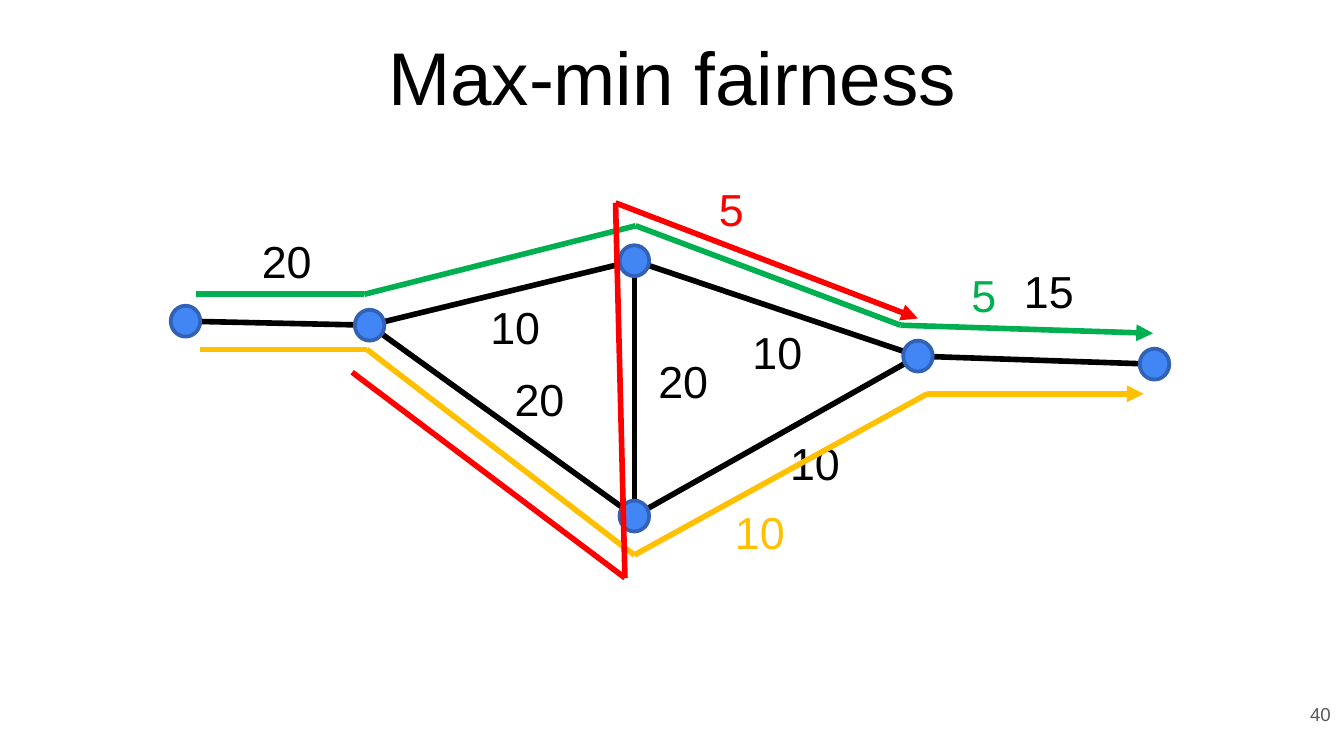
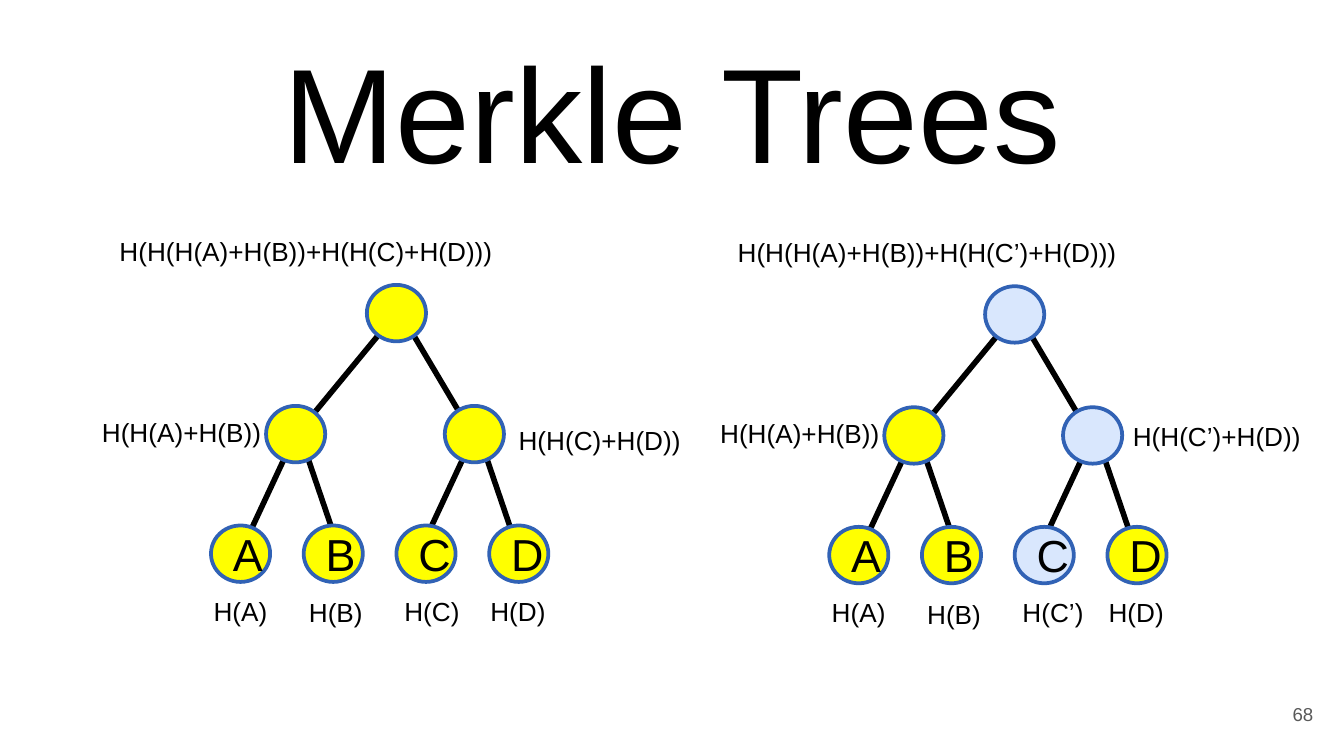
from dataclasses import dataclass
from itertools import pairwise

from lxml.etree import SubElement
from pptx import Presentation
from pptx.dml.color import RGBColor
from pptx.enum.shapes import MSO_CONNECTOR as Connector, MSO_SHAPE as Shape
from pptx.enum.text import MSO_ANCHOR as Anchor, MSO_AUTO_SIZE as Fit, PP_ALIGN as Align
from pptx.oxml.ns import qn
from pptx.util import Inches, Pt

FONT = "Arial"
BLACK, GREY = "000000", "595959"
BLUE, OUTLINE = "4285F4", "3162B5"
YELLOW, PALE = "FFFF00", "D9E7FD"
GOLD, GREEN, RED = "FFC000", "00B050", "FF0000"
WIDTH, HEIGHT = 10, 5.625
CELL = 0.1


@dataclass
class Region:
    """A region of the slide, measured in columns and rows of one cell."""

    left: float
    top: float

    def x(self, column):
        """Return the position of a column."""
        return Inches(self.left + column * CELL)

    def y(self, row):
        """Return the position of a row."""
        return Inches(self.top + row * CELL)


def span(cells):
    """Return the length of a number of cells."""
    return Inches(cells * CELL)


def colour(value):
    """Turn a hex string into a colour."""
    return RGBColor.from_string(value)


def write(shape, text, size, color=BLACK, align=Align.LEFT):
    """Put one styled paragraph into a shape."""
    para = shape.text_frame.paragraphs[0]
    para.text = text
    para.alignment = align
    font = para.runs[0].font
    font.name, font.size = FONT, Pt(size)
    font.color.rgb = colour(color)


def set_insets(frame, inset):
    """Give all four sides of a text frame one inset."""
    frame.margin_left = frame.margin_right = Inches(inset)
    frame.margin_top = frame.margin_bottom = Inches(inset)


def add_title(page, text, size, top, height, anchor, inset):
    """Place and format the title of a page."""
    title = page.shapes.title
    title.left, title.top = Inches(0.034 * WIDTH), Inches(top)
    title.width, title.height = Inches(0.932 * WIDTH), Inches(height)
    frame = title.text_frame
    frame.auto_size = Fit.NONE
    frame.word_wrap = True
    frame.vertical_anchor = anchor
    set_insets(frame, inset)
    write(title, text, size, align=Align.CENTER)


def add_number(page, text, left):
    """Add the page number near the lower right corner."""
    box = page.shapes.add_textbox(Inches(left), Inches(5.1), Inches(0.6), Inches(0.43))
    frame = box.text_frame
    frame.word_wrap = True
    frame.vertical_anchor = Anchor.MIDDLE
    set_insets(frame, 0.1)
    write(box, text, 10, GREY, Align.RIGHT)


def add_label(page, region, text, column, row, width, size, color=BLACK, wrap=False):
    """Add a label with its upper left corner on a grid point."""
    height = 5 if size == 24 else 3.4
    box = page.shapes.add_textbox(region.x(column), region.y(row), span(width), span(height))
    box.text_frame.word_wrap = wrap
    box.text_frame.auto_size = Fit.SHAPE_TO_FIT_TEXT
    write(box, text, size, color)


def add_line(shapes, region, start, end, color=BLACK, arrow=False):
    """Join two grid points, with an arrowhead at the end if asked."""
    line = shapes.add_connector(
        Connector.STRAIGHT, region.x(start[0]), region.y(start[1]),
        region.x(end[0]), region.y(end[1]))
    line.line.width = Pt(3)
    line.line.color.rgb = colour(color)
    properties = line.element.spPr
    if arrow:
        SubElement(properties.find(qn("a:ln")), qn("a:tailEnd"), type="triangle")
    SubElement(properties, qn("a:effectLst"))


def add_node(page, region, centre, width, height, fill, text=""):
    """Draw an outlined ellipse around a grid point."""
    column, row = centre
    node = page.shapes.add_shape(
        Shape.OVAL, region.x(column - width / 2), region.y(row - height / 2),
        span(width), span(height))
    node.shadow.inherit = False
    node.fill.solid()
    node.fill.fore_color.rgb = colour(fill)
    node.line.color.rgb = colour(OUTLINE)
    node.line.width = Pt(2)
    if text:
        node.text_frame.vertical_anchor = Anchor.MIDDLE
        write(node, text, 24, align=Align.CENTER)


def draw_network(page, region):
    """Draw the links, nodes and capacities of the network."""
    nodes = {
        "source": (3.8, 8.9), "fork": (17.5, 9.2), "upper": (37.2, 4.4),
        "lower": (37.2, 23.4), "merge": (58.3, 11.5), "sink": (75.9, 12.1),
    }
    links = [
        ("source", "fork"), ("merge", "sink"), ("lower", "upper"), ("lower", "merge"),
        ("upper", "merge"), ("fork", "lower"), ("fork", "upper"),
    ]
    capacities = [
        ("10", 25.5, 6.8), ("20", 27.3, 12.2), ("20", 38, 10.8), ("20", 8.5, 1.9),
        ("15", 65.2, 4.1), ("10", 45, 8.7), ("10", 47.8, 16.9),
    ]
    for start, end in links:
        add_line(page.shapes, region, nodes[start], nodes[end])
    for centre in nodes.values():
        add_node(page, region, centre, 2.2, 2.3, BLUE)
    for text, column, row in capacities:
        add_label(page, region, text, column, row, 5.8, 24)


def draw_flow(page, region, color, points, rate, column, row):
    """Draw one flow as a chain of lines ending in an arrow, with its rate."""
    shapes = page.shapes.add_group_shape().shapes
    for start, end in pairwise(points):
        add_line(shapes, region, start, end, color, arrow=end == points[-1])
    add_label(page, region, rate, column, row, 5.8 if len(rate) > 1 else 3.9, 24, color)


def draw_tree(page, region, third, changed, side_label):
    """Draw a hash tree whose changed nodes are pale."""
    root, left, right = (23.5, 6.3), (16, 15.3), (29.3, 15.3)
    branches = [(root, -7.5, 5.4, 9.1), (left, -4.1, 3, 8.8), (right, -4.1, 3, 8.8)]
    for (column, row), to_left, to_right, drop in branches:
        add_line(page.shapes, region, (column, row), (column + to_left, row + drop))
        add_line(page.shapes, region, (column + 0.3, row), (column + 0.3 + to_right, row + drop))

    nodes = {"root": root, "left": left, "right": right}
    nodes |= {letter: (11.9 + 6.9 * i, 24.2) for i, letter in enumerate("ABCD")}
    for name, centre in nodes.items():
        letter = name if len(name) == 1 else ""
        add_node(page, region, centre, 4.4, 4.2, PALE if name in changed else YELLOW, letter)

    pair, other = "H(H(A)+H(B))", f"H(H({third})+H(D))"
    third_width = 6.6 if changed else 6.2
    leaves = [("A", 8.9, 26.8, 6.1), ("B", 16, 26.9, 6.1),
              (third, 23.1, 26.8, third_width), ("D", 29.5, 26.8, 6.2)]
    for letter, column, row, width in leaves:
        add_label(page, region, f"H({letter})", column, row, width, 14)
    add_label(page, region, pair, 0.6, 13.5, 13.9, 14)
    add_label(page, region, other, *side_label, 14)
    add_label(page, region, f"H({pair}+{other})", 1.9, 0, 31.1, 14, wrap=True)


def build_fairness(page):
    """Build the page on sharing a network."""
    add_title(page, "Max-min fairness", 40, 0.25, 0.63, Anchor.MIDDLE, 0)
    add_number(page, "40", 9.4)
    region = Region(1, 1.5)
    draw_network(page, region)
    gold = [(4.9, 11), (17.3, 11), (37.2, 26.3), (59, 14.3), (75.1, 14.3)]
    green = [(4.6, 6.9), (17.1, 6.9), (37.3, 1.8), (57, 9.2), (75.8, 9.8)]
    red = [(16.2, 12.7), (36.5, 28), (35.8, 0.1), (58.3, 8.7)]
    draw_flow(page, region, GOLD, gold, "10", 43.7, 22.1)
    draw_flow(page, region, GREEN, green, "5", 61.3, 4.4)
    draw_flow(page, region, RED, red, "5", 42.5, -2)


def build_merkle(page):
    """Build the page comparing two hash trees."""
    add_title(page, "Merkle Trees", 72, 0.22, 1.3, Anchor.BOTTOM, 0.1)
    add_number(page, "68", 9.27)
    draw_tree(page, Region(0.6, 1.7), "C", (), (31.6, 14.1, 14.2))
    draw_tree(page, Region(5.2, 1.71), "C’", ("root", "right", "C"), (31.3, 13.7, 14.5))


def main():
    """Build the deck and save it."""
    deck = Presentation()
    deck.slide_width, deck.slide_height = Inches(WIDTH), Inches(HEIGHT)
    title_only = deck.slide_layouts.get_by_name("Title Only")
    for build in (build_fairness, build_merkle):
        build(deck.slides.add_slide(title_only))
    deck.save("out.pptx")


if __name__ == "__main__":
    main()
